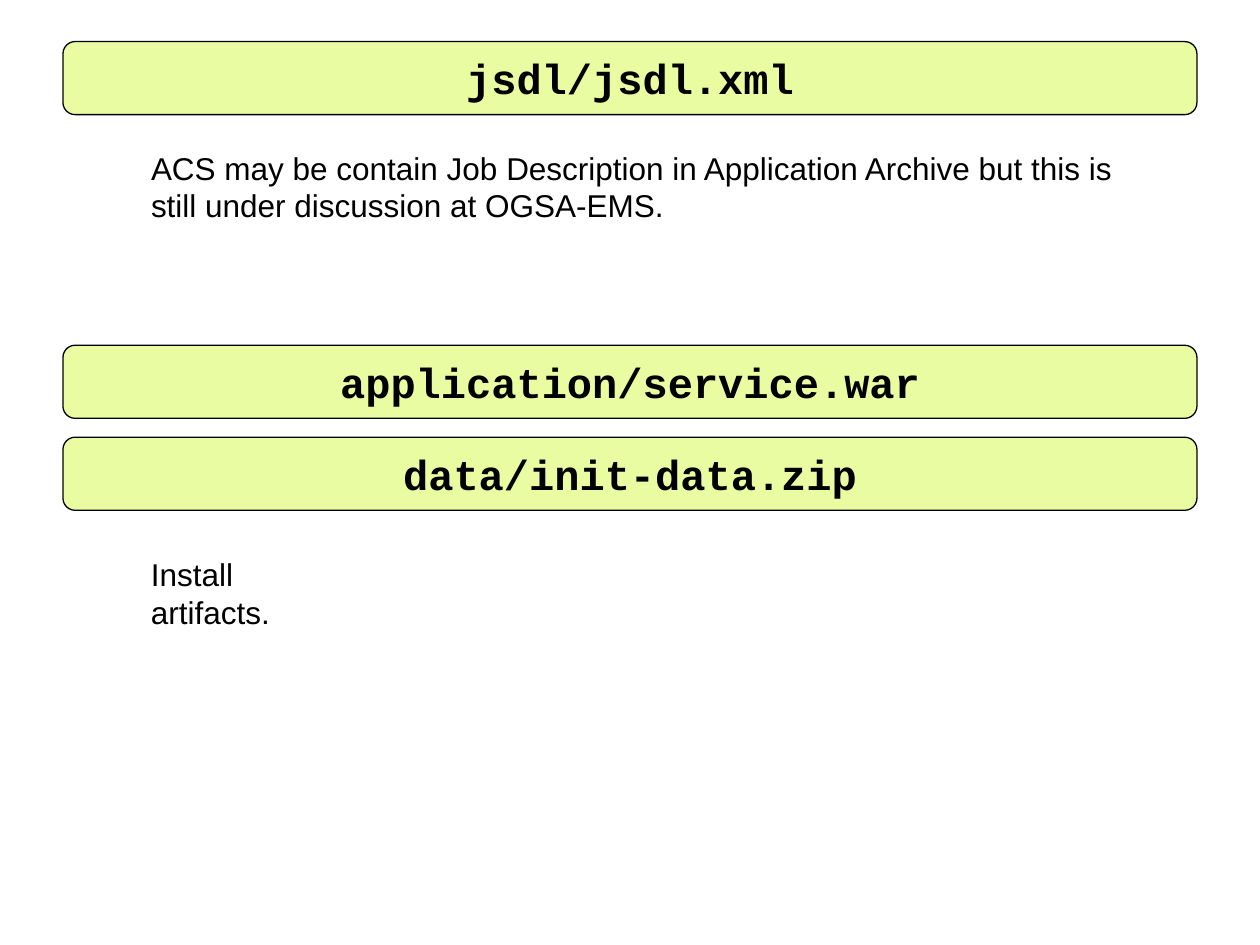
from pptx import Presentation
from pptx.dml.color import RGBColor
from pptx.enum.shapes import MSO_SHAPE as Shape
from pptx.enum.text import MSO_ANCHOR as Anchor, MSO_AUTO_SIZE as AutoSize, PP_ALIGN as Align
from pptx.util import Inches, Pt

BLACK = "000000"
LIME = "E9FCA2"


def color(hex_value):
    return RGBColor.from_string(hex_value)


def write_lines(frame, lines, font_name, size, align, bold=False):
    frame.word_wrap = False
    for index, line in enumerate(lines):
        paragraph = frame.paragraphs[0] if index == 0 else frame.add_paragraph()
        paragraph.alignment = align
        run = paragraph.add_run()
        run.text = line
        run.font.name = font_name
        run.font.size = Pt(size)
        run.font.bold = bold
        run.font.color.rgb = color(BLACK)


def add_file_bar(slide, top, file_name):
    bar = slide.shapes.add_shape(
        Shape.ROUNDED_RECTANGLE, Inches(0.5), Inches(top), Inches(9), Inches(0.58)
    )
    bar.shadow.inherit = False
    bar.fill.solid()
    bar.fill.fore_color.rgb = color(LIME)
    bar.line.color.rgb = color(BLACK)
    bar.line.width = Pt(0.75)
    bar.text_frame.vertical_anchor = Anchor.MIDDLE
    write_lines(bar.text_frame, [file_name], "Courier New", 24, Align.CENTER, bold=True)


def add_description(slide, top, width, height, lines):
    description = slide.shapes.add_textbox(
        Inches(1.1), Inches(top), Inches(width), Inches(height)
    )
    write_lines(description.text_frame, lines, "Arial", 18, Align.LEFT)
    description.text_frame.auto_size = AutoSize.SHAPE_TO_FIT_TEXT


def main():
    deck = Presentation()
    deck.slide_width = Inches(10)
    deck.slide_height = Inches(7.5)
    slide = deck.slides.add_slide(deck.slide_layouts[6])

    add_file_bar(slide, 0.33, "jsdl/jsdl.xml")
    add_file_bar(slide, 2.74, "application/service.war")
    add_file_bar(slide, 3.47, "data/init-data.zip")
    add_description(slide, 1.13, 7.92, 0.7, [
        "ACS may be contain Job Description in Application Archive but this is",
        "still under discussion at OGSA-EMS.",
    ])
    add_description(slide, 4.36, 1.86, 0.4, ["Install artifacts."])

    deck.save("out.pptx")


if __name__ == "__main__":
    main()
